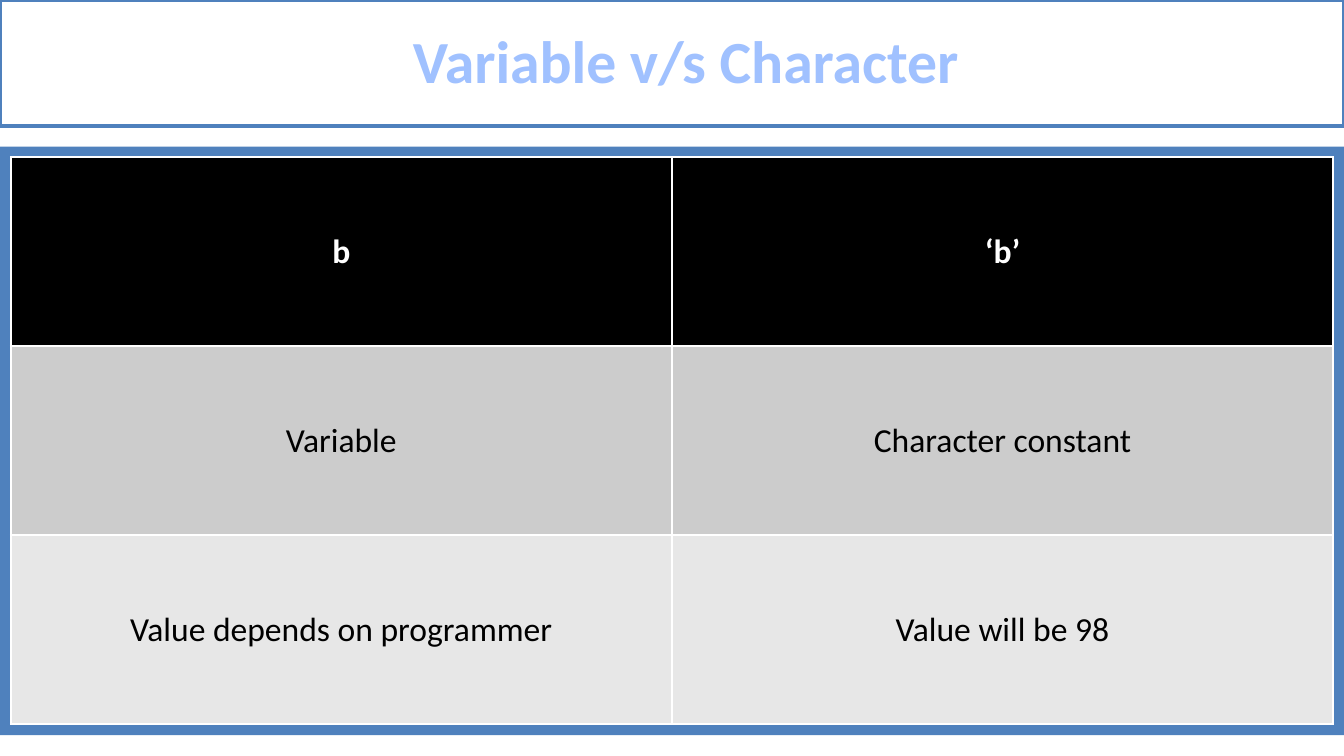
from pptx import Presentation
from pptx.dml.color import RGBColor
from pptx.enum.shapes import MSO_SHAPE
from pptx.enum.text import MSO_ANCHOR, MSO_AUTO_SIZE, PP_ALIGN
from pptx.util import Inches, Pt

RECT = MSO_SHAPE.RECTANGLE
MIDDLE = MSO_ANCHOR.MIDDLE
CENTER = PP_ALIGN.CENTER
NO_FIT = MSO_AUTO_SIZE.NONE

THEME = {
    "font": "Calibri",
    "title_size": 32,
    "cell_size": 18,
    "blue": RGBColor.from_string("4F81BD"),
    "title": RGBColor.from_string("A0C1FF"),
    "white": RGBColor.from_string("FFFFFF"),
    "black": RGBColor.from_string("000000"),
    "rows": [RGBColor.from_string(c) for c in ("000000", "CCCCCC", "E7E7E7")],
}

ROWS = [
    ("b", "‘b’"),
    ("Variable", "Character constant"),
    ("Value depends on programmer", "Value will be 98"),
]


def write(tf, text, size, color, bold=False):
    p = tf.paragraphs[0]
    p.alignment = CENTER
    r = p.add_run()
    r.text = text
    r.font.name = THEME["font"]
    r.font.size = Pt(size)
    r.font.bold = bold
    r.font.color.rgb = color
    return p


prs = Presentation()
prs.slide_width = Inches(10)
prs.slide_height = prs.slide_width * 9 // 16
s = prs.slides.add_slide(prs.slide_layouts[5])

panel = s.shapes.add_shape(RECT, Inches(0), Inches(1.09), Inches(10), Inches(4.38))
panel.shadow.inherit = False
panel.fill.solid()
panel.fill.fore_color.rgb = THEME["blue"]
panel.line.fill.background()

title = s.shapes.title
title.left, title.top = Inches(0), Inches(0)
title.width, title.height = Inches(10), Inches(0.94)
title.fill.solid()
title.fill.fore_color.rgb = THEME["white"]
title.line.color.rgb = THEME["blue"]
title.line.width = Pt(2)
tf = title.text_frame
tf.auto_size = NO_FIT
tf.word_wrap = True
tf.vertical_anchor = MIDDLE
p = write(tf, "Variable v/s Character", THEME["title_size"], THEME["title"], bold=True)
p.line_spacing = 0.96
p._p.get_or_add_pPr().set("marL", str(Inches(0.21)))

frame = s.shapes.add_table(3, 2, Inches(0.08), Inches(1.17), Inches(9.84), Inches(4.22))
for i, row in enumerate(ROWS):
    header = i == 0
    for j, text in enumerate(row):
        cell = frame.table.cell(i, j)
        cell.vertical_anchor = MIDDLE
        cell.fill.solid()
        cell.fill.fore_color.rgb = THEME["rows"][i]
        color = THEME["white"] if header else THEME["black"]
        write(cell.text_frame, text, THEME["cell_size"], color, bold=header)

prs.save("out.pptx")
